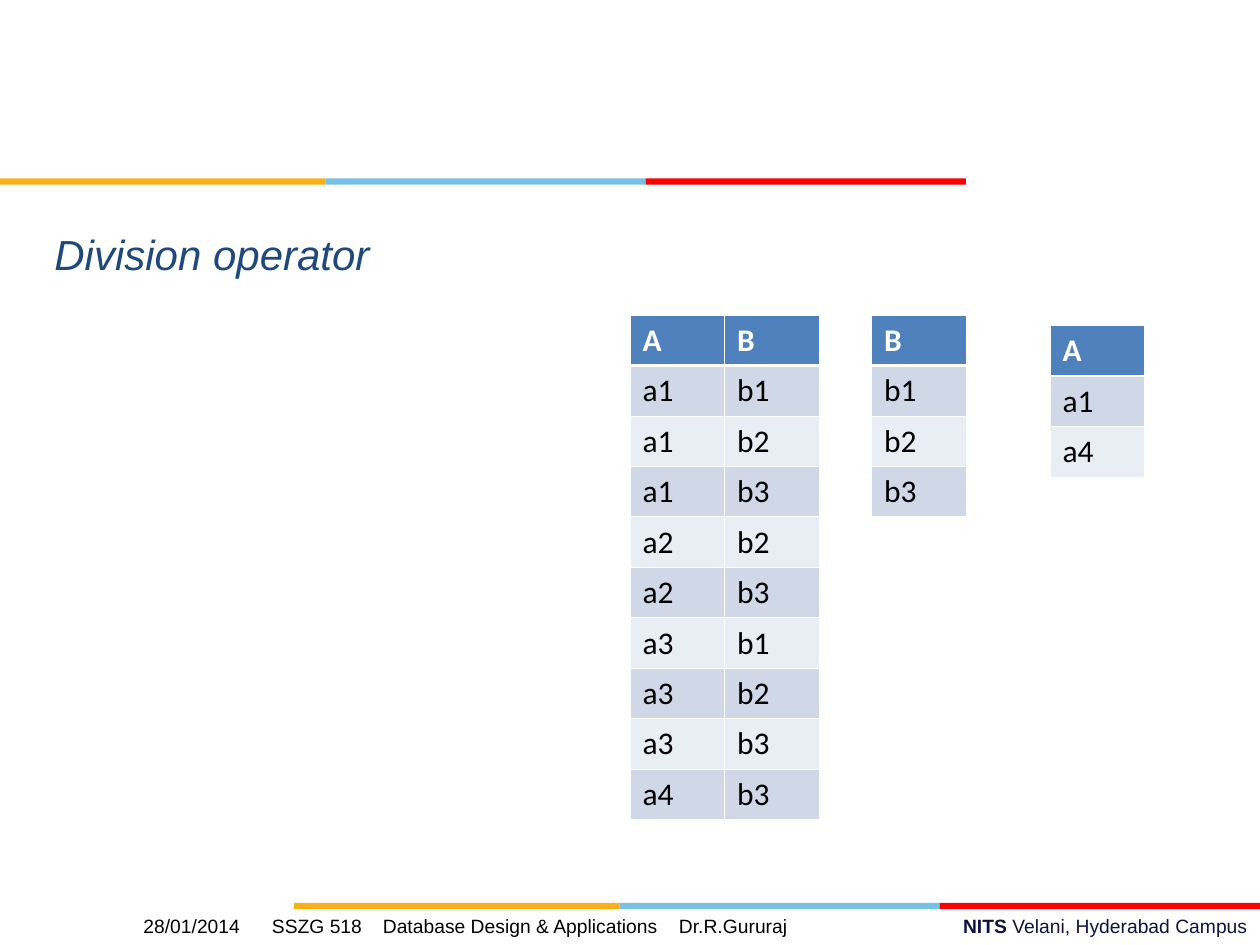
from lxml.etree import SubElement
from pptx import Presentation
from pptx.dml.color import RGBColor as RGB
from pptx.enum.shapes import MSO_SHAPE as SHAPE
from pptx.enum.text import PP_ALIGN as ALIGN
from pptx.oxml import parse_xml
from pptx.oxml.ns import nsdecls, qn
from pptx.util import Inches, Pt

ORANGE, SKY, RED = RGB(0xFC, 0xB0, 0x17), RGB(0x76, 0xC2, 0xE5), RGB(0xFF, 0, 0)
NAVY, TITLE = RGB(0x10, 0x11, 0x41), RGB(0x1F, 0x49, 0x7D)
BLACK, WHITE = RGB(0, 0, 0), RGB(0xFF, 0xFF, 0xFF)
HEADER, BAND, PALE = RGB(0x4F, 0x81, 0xBD), RGB(0xD0, 0xD8, 0xE8), RGB(0xE9, 0xED, 0xF4)

prs = Presentation()
prs.slide_width, prs.slide_height = Inches(10), Inches(7.5)
s = prs.slides.add_slide(prs.slide_layouts[6])
U = prs.slide_width // 120
COL, ROW = 9 * U, Inches(0.4)


def add_run(p, text, size, color, font="Arial", bold=False, italic=False):
    r = p.add_run()
    r.text = text
    r.font.name, r.font.size = font, Pt(size)
    r.font.bold, r.font.italic = bold, italic
    r.font.color.rgb = color


def add_text(x, y, w, h):
    tf = s.shapes.add_textbox(int(x * U), int(y * U), int(w * U), int(h * U)).text_frame
    tf.word_wrap = True
    return tf


for left, top in ((0, 17), (28, 86)):
    for x, w, color in ((0, 31, ORANGE), (31, 30.5, SKY), (61.5, 30.5, RED)):
        bar = s.shapes.add_shape(SHAPE.RECTANGLE, int((left + x) * U), top * U, int(w * U), Inches(0.05))
        bar.shadow.inherit = False
        bar.fill.solid()
        bar.fill.fore_color.rgb = color
        bar.line.fill.background()

p = add_text(43, 86.5, 77, 3.5).paragraphs[0]
p.alignment = ALIGN.RIGHT
add_run(p, "NITS ", 11, NAVY, bold=True)
add_run(p, "Velani, Hyderabad Campus", 11, NAVY)

tf = add_text(4, 11, 109, 20)
tf.margin_top = Inches(0.9)
add_run(tf.paragraphs[0], "Division operator", 24, TITLE, italic=True)

dividend = [("A", "B"), ("a1", "b1"), ("a1", "b2"), ("a1", "b3"), ("a2", "b2"), ("a2", "b3"),
            ("a3", "b1"), ("a3", "b2"), ("a3", "b3"), ("a4", "b3")]
divisor = [("B",), ("b1",), ("b2",), ("b3",)]
quotient = [("A",), ("a1",), ("a4",)]

for x, y, rows in ((60, 30, dividend), (83, 30, divisor), (100, 31, quotient)):
    n = len(rows[0])
    table = s.shapes.add_table(len(rows), n, x * U, y * U, n * COL, len(rows) * ROW).table
    table.horz_banding = False
    for column in table.columns:
        column.width = COL
    for i, values in enumerate(rows):
        table.rows[i].height = ROW
        for j, value in enumerate(values):
            cell = table.cell(i, j)
            cell.fill.solid()
            cell.fill.fore_color.rgb = HEADER if i == 0 else BAND if i % 2 else PALE
            add_run(cell.text_frame.paragraphs[0], value, 18, BLACK if i else WHITE, "Calibri", bold=i == 0)
            thick = {"lnB": i == 0, "lnT": i == 1}
            for k, side in enumerate(("lnL", "lnR", "lnT", "lnB")):
                width = Pt(1.5 if thick.get(side) else 0.45)
                cell._tc.get_or_add_tcPr().insert(k, parse_xml(
                    f'<a:{side} {nsdecls("a")} w="{width}"><a:solidFill>'
                    f'<a:srgbClr val="{WHITE}"/></a:solidFill></a:{side}>'))

p = add_text(0, 86.5, 76.5, 3.5).paragraphs[0]
tabs = SubElement(p._p.get_or_add_pPr(), qn("a:tabLst"))
for stop in (1.04, 2.06, 2.94, 5.29):
    SubElement(tabs, qn("a:tab"), pos=str(Inches(stop)), algn="l")
add_run(p, "\t28/01/2014\tSSZG 518\tDatabase Design & Applications\tDr.R.Gururaj", 11, BLACK)

prs.save("out.pptx")
